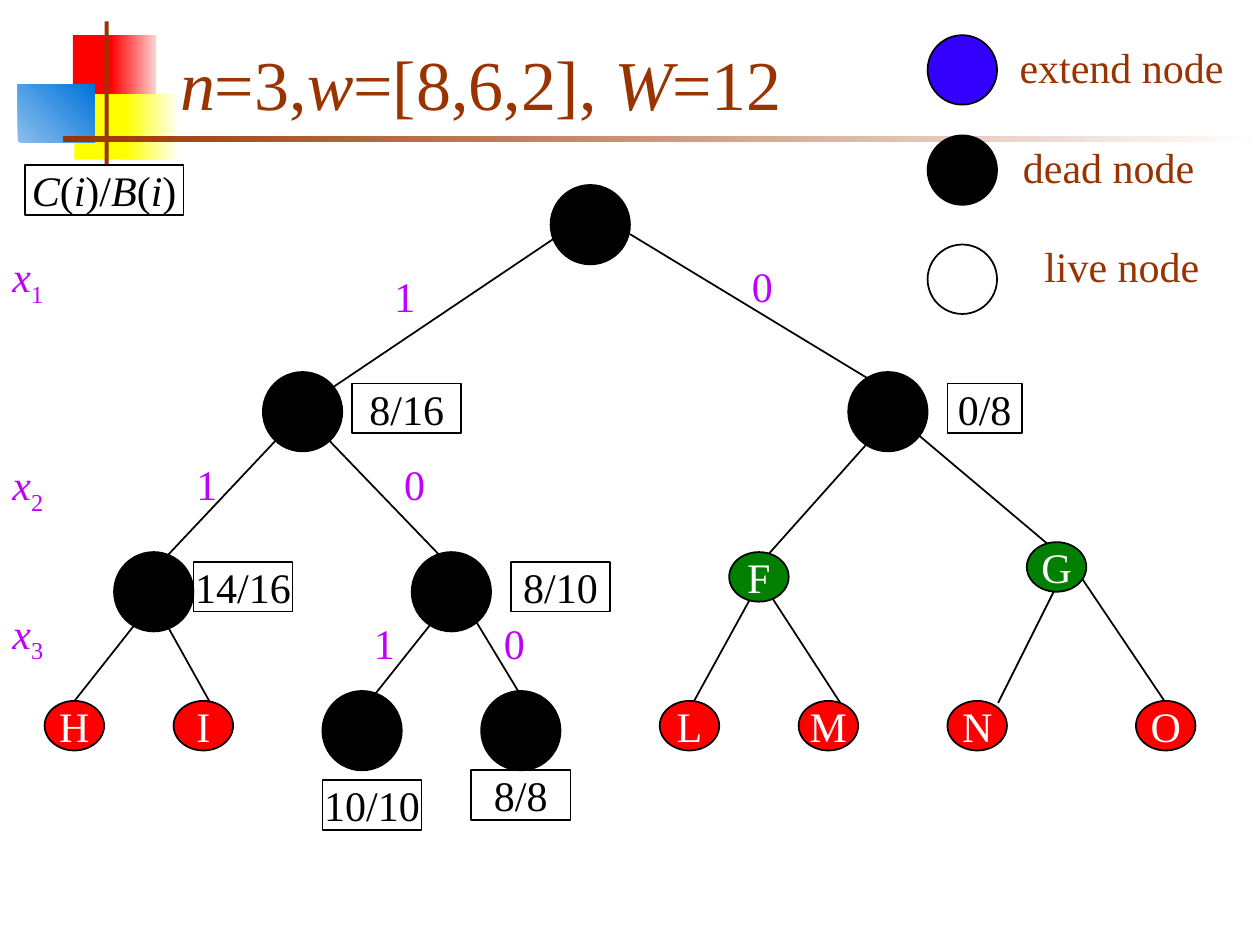
"""Build a slide showing a branch-and-bound tree for a small loading problem."""
import dataclasses
import typing

import lxml.etree
import pptx
import pptx.dml.color
import pptx.enum.shapes
import pptx.enum.text
import pptx.oxml.ns
import pptx.util

Cm = pptx.util.Cm
Kind = pptx.enum.shapes.MSO_SHAPE
Align = pptx.enum.text.PP_ALIGN
Anchor = pptx.enum.text.MSO_ANCHOR


@dataclasses.dataclass(frozen=True)
class Theme:
    font: str = "Times New Roman"
    title_size: int = 40
    body_size: int = 24
    black: str = "000000"
    white: str = "FFFFFF"
    brown: str = "993300"
    purple: str = "BF00FF"
    green: str = "007F00"
    red: str = "FF0000"
    pale_red: str = "FFD1D1"
    yellow: str = "FFFF00"
    pale_yellow: str = "FFFFF0"
    blue: str = "0073D9"
    pale_blue: str = "8BBFEE"
    violet: str = "3300FF"


THEME = Theme()


class Box(typing.NamedTuple):
    left: float
    top: float
    width: float
    height: float


class Run(typing.NamedTuple):
    text: str
    italic: bool = False
    subscript: bool = False


class Band(typing.NamedTuple):
    box: Box
    color: str
    end_color: typing.Optional[str] = None
    angle: int = 0


class Edge(typing.NamedTuple):
    start_x: float
    start_y: float
    end_x: float
    end_y: float


class Node(typing.NamedTuple):
    left: float
    top: float
    color: str
    letter: str = ""


class Label(typing.NamedTuple):
    left: float
    top: float
    width: float
    runs: list[Run]


DEAD_SIZE, LEGEND_SIZE = 1.6, 1.4
LETTER_WIDTH, LETTER_HEIGHT = 1.2, 1.0
TEXT_HEIGHT = 1.27
LEAF_TOP, LINE_END = 14.13, 14.17

BANDS = [
    Band(Box(1.47, 0.71, 0.9, 1.32), THEME.red),
    Band(Box(2.24, 0.71, 0.91, 1.32), THEME.red, THEME.pale_red),
    Band(Box(1.5, 1.9, 1.17, 1.32), THEME.yellow),
    Band(Box(2.54, 1.9, 1.02, 1.32), THEME.yellow, THEME.pale_yellow),
    Band(Box(0.36, 1.7, 1.55, 1.17), THEME.pale_blue, THEME.blue, 45),
    Band(Box(2.11, 0.43, 0.08, 2.92), THEME.brown),
    Band(Box(1.27, 2.74, 24.13, 0.13), THEME.brown, THEME.white),
]
EDGES = [
    Edge(11.3, 4.72, 6.35, 8.05), Edge(12.7, 4.72, 18.19, 8.05),
    Edge(5.69, 8.74, 2.97, 11.63), Edge(6.5, 8.74, 9.09, 11.43),
    Edge(17.5, 8.92, 15.44, 11.23), Edge(18.42, 8.69, 21.16, 11),
    Edge(2.97, 12.27, 1.47, LINE_END), Edge(3.18, 12.27, 4.24, LINE_END),
    Edge(9.09, 12.07, 7.42, LINE_END), Edge(9.32, 12.07, 10.59, LINE_END),
    Edge(15.24, 11.86, 13.97, LINE_END), Edge(15.44, 11.86, 16.94, LINE_END),
    Edge(21.39, 11.63, 20.12, LINE_END), Edge(21.79, 11.63, 23.5, LINE_END),
]
DEAD_NODES = [
    Node(left, top, THEME.black)
    for left, top in [(11.1, 3.73), (5.3, 7.5), (17.1, 7.5), (2.3, 11.13),
                      (8.3, 11.13), (6.5, 13.93), (9.7, 13.93)]
]
LETTER_NODES = [
    Node(14.7, 11.13, THEME.green, "F"), Node(20.7, 10.93, THEME.green, "G"),
] + [
    Node(left, LEAF_TOP, THEME.red, letter)
    for left, letter in [(0.9, "H"), (3.5, "I"), (13.3, "L"),
                         (16.1, "M"), (19.1, "N"), (22.9, "O")]
]
LEGEND_NODES = [
    Node(18.7, 0.71, THEME.violet), Node(18.7, 2.73, THEME.black), Node(18.7, 4.93, THEME.white),
]
LEGEND_LABELS = [
    Label(20.3, 0.71, 4.62, [Run("extend node")]),
    Label(20.3, 2.72, 4.1, [Run("dead node")]),
    Label(20.8, 4.72, 3.63, [Run("live node")]),
]
LEVEL_LABELS = [
    Label(0, top, 1.5, [Run("x", italic=True), Run(str(level), subscript=True)])
    for level, top in enumerate([4.93, 9.12, 12.12], start=1)
]
BRANCH_LABELS = [
    Label(left, top, 1.2, [Run(digit)])
    for left, top, digit in [(7.7, 5.33, "1"), (14.91, 5.13, "0"), (3.71, 9.12, "1"),
                             (7.9, 9.12, "0"), (7.29, 12.32, "1"), (9.91, 12.32, "0")]
]
BOUND_LABELS = [
    Label(0.5, 3.33, 3.2, [Run("C", True), Run("("), Run("i", True), Run(")/"),
                           Run("B", True), Run("("), Run("i", True), Run(")")]),
    Label(3.9, 11.33, 2, [Run("14/16")]), Label(7.1, 7.73, 2.2, [Run("8/16")]),
    Label(19.1, 7.73, 1.5, [Run("0/8")]), Label(10.3, 11.33, 2, [Run("8/10")]),
    Label(6.5, 15.73, 2, [Run("10/10")]), Label(9.5, 15.53, 2, [Run("8/8")]),
]
TITLE = [Run("n", True), Run("=3,"), Run("w", True), Run("=[8,6,2], "), Run("W", True), Run("=12")]


def rgb(color: str) -> pptx.dml.color.RGBColor:
    return pptx.dml.color.RGBColor.from_string(color)


def write(shape, runs: list[Run], color: str, size: int = THEME.body_size,
          align=Align.CENTER, anchor=Anchor.MIDDLE, wrap: bool = False) -> None:
    frame = shape.text_frame
    frame.word_wrap, frame.vertical_anchor = wrap, anchor
    paragraph = frame.paragraphs[0]
    paragraph.alignment = align
    for item in runs:
        run = paragraph.add_run()
        run.text = item.text
        run.font.name, run.font.size = THEME.font, pptx.util.Pt(size)
        run.font.italic, run.font.color.rgb = item.italic, rgb(color)
        if item.subscript:
            run._r.get_or_add_rPr().set("baseline", "-25000")


def draw_shape(slide, kind, box: Box, color: str, outlined: bool = True):
    shape = slide.shapes.add_shape(kind, *map(Cm, box))
    shape.shadow.inherit = False
    shape.fill.solid()
    shape.fill.fore_color.rgb = rgb(color)
    if outlined:
        shape.line.color.rgb, shape.line.width = rgb(THEME.black), pptx.util.Pt(1)
    else:
        shape.line.fill.background()
    return shape


def draw_band(slide, band: Band) -> None:
    shape = draw_shape(slide, Kind.RECTANGLE, band.box, band.color, outlined=False)
    if band.end_color:
        shape.fill.gradient()
        shape.fill.gradient_angle = band.angle
        for stop, color in zip(shape.fill.gradient_stops, (band.color, band.end_color)):
            stop.color.rgb = rgb(color)


def draw_edge(slide, edge: Edge) -> None:
    line = slide.shapes.add_connector(pptx.enum.shapes.MSO_CONNECTOR.STRAIGHT, *map(Cm, edge))
    line.line.color.rgb, line.line.width = rgb(THEME.black), pptx.util.Pt(1)
    lxml.etree.SubElement(line._element.spPr, pptx.oxml.ns.qn("a:effectLst"))


def draw_node(slide, node: Node, width: float, height: float) -> None:
    shape = draw_shape(slide, Kind.OVAL, Box(node.left, node.top, width, height), node.color)
    if node.letter:
        write(shape, [Run(node.letter)], THEME.white)


def draw_label(slide, label: Label, color: str, align=Align.LEFT, wrap: bool = True) -> None:
    box = Box(label.left, label.top, label.width, TEXT_HEIGHT)
    write(slide.shapes.add_textbox(*map(Cm, box)), label.runs, color,
          align=align, anchor=Anchor.TOP, wrap=wrap)


def main() -> None:
    presentation = pptx.Presentation()
    presentation.slide_width, presentation.slide_height = Cm(25.4), Cm(19.05)
    slide = presentation.slides.add_slide(presentation.slide_layouts[6])
    for band in BANDS:
        draw_band(slide, band)
    title = slide.shapes.add_textbox(Cm(3.38), Cm(0.64), Cm(21.64), Cm(2.03))
    write(title, TITLE, THEME.brown, THEME.title_size, Align.LEFT, wrap=True)
    for edge in EDGES:
        draw_edge(slide, edge)
    for label in BOUND_LABELS:
        box = Box(label.left, label.top, label.width, LETTER_HEIGHT)
        write(draw_shape(slide, Kind.RECTANGLE, box, THEME.white), label.runs, THEME.black)
    for nodes, width, height in [(DEAD_NODES, DEAD_SIZE, DEAD_SIZE),
                                 (LETTER_NODES, LETTER_WIDTH, LETTER_HEIGHT),
                                 (LEGEND_NODES, LEGEND_SIZE, LEGEND_SIZE)]:
        for node in nodes:
            draw_node(slide, node, width, height)
    for label in LEVEL_LABELS + BRANCH_LABELS:
        draw_label(slide, label, THEME.purple)
    for label in LEGEND_LABELS:
        draw_label(slide, label, THEME.brown, Align.CENTER, wrap=False)
    presentation.save("out.pptx")


if __name__ == "__main__":
    main()
